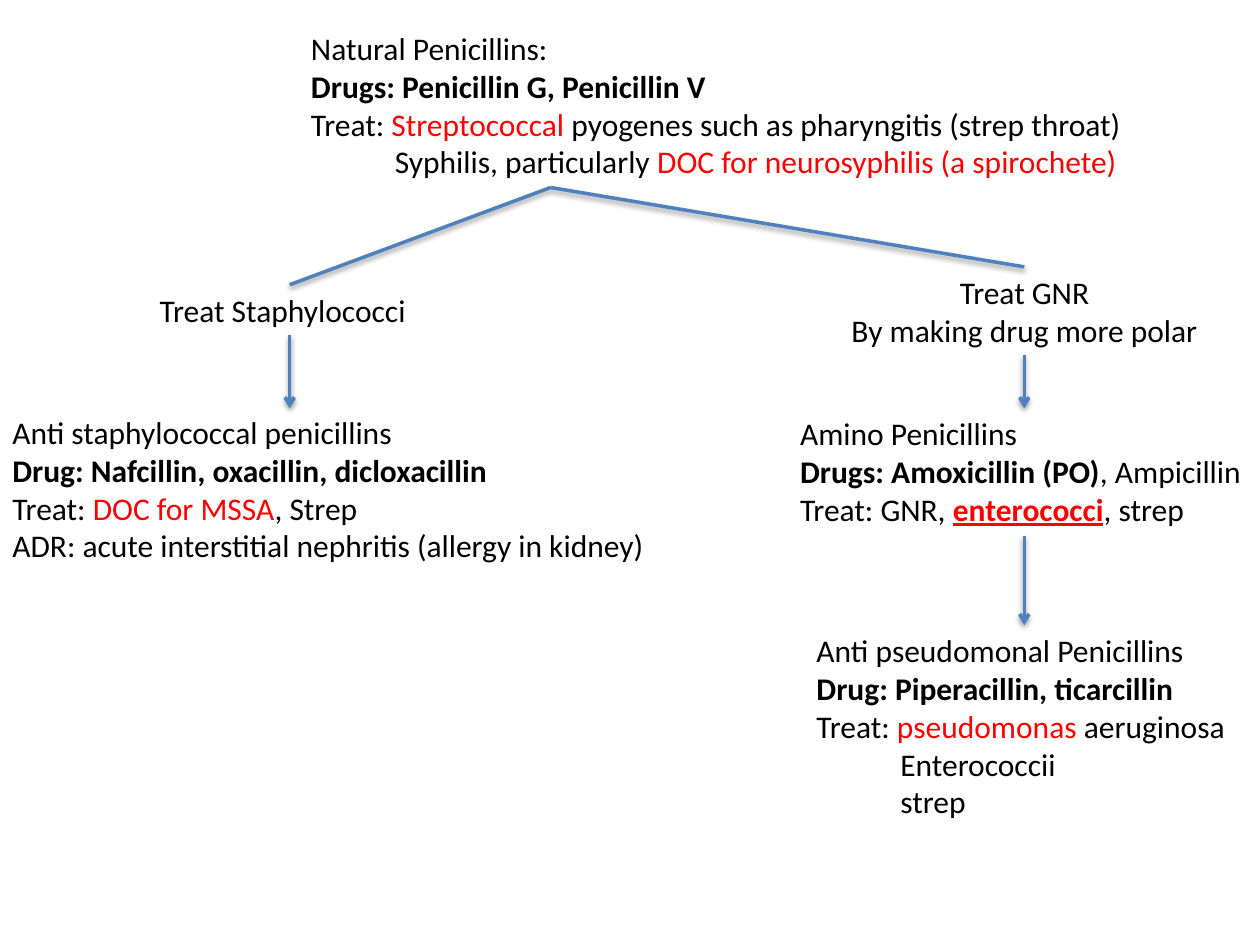
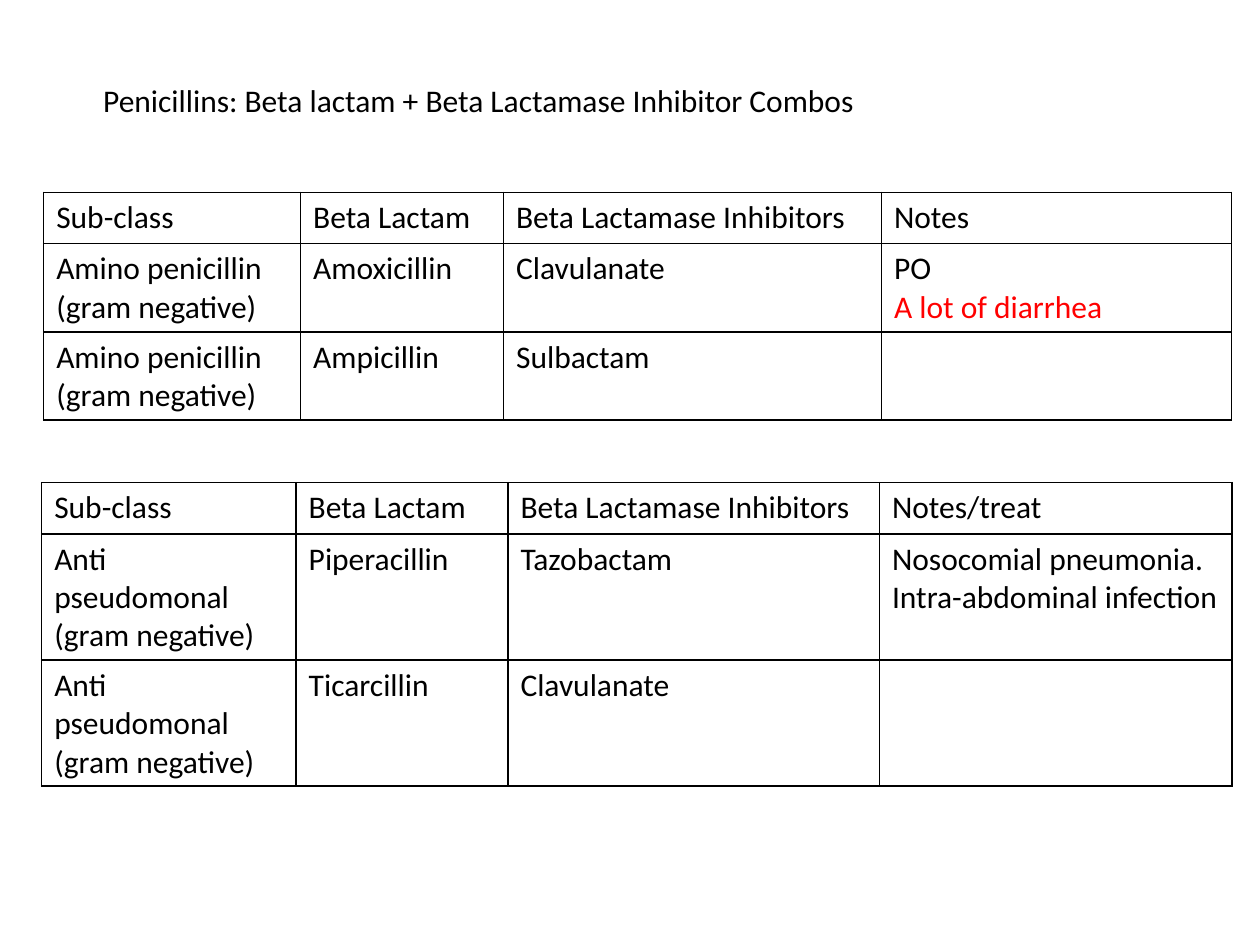
from lxml.etree import SubElement as Sub
from pptx import Presentation as Deck
from pptx.dml.color import RGBColor as Rgb
from pptx.enum.shapes import MSO_CONNECTOR as Link
from pptx.enum.text import MSO_AUTO_SIZE as Fit, PP_ALIGN as Align
from pptx.oxml.ns import qn
from pptx.util import Cm, Pt

HUES = {"ink": "000000", "red": "FF0000", "blue": "4F81BD"}
RED = {"hue": "red"}
BOLD = {"bold": True}
KEY = {"hue": "red", "bold": True, "under": True}


def write(para, text, hue="ink", bold=False, under=False, size=18):
    run = para.add_run()
    run.text = text
    font = run.font
    font.name, font.size = "Calibri", Pt(size)
    font.bold, font.underline = bold, under
    font.color.rgb = Rgb.from_string(HUES[hue])


def fill(frame, lines, align=Align.LEFT, tabbed=()):
    for i, line in enumerate(lines):
        para = frame.paragraphs[0] if i == 0 else frame.add_paragraph()
        para.alignment = align
        if i in tabbed:
            para._p.get_or_add_pPr().set("marL", str(Cm(1.69)))
        for part in [line] if isinstance(line, str) else line:
            text, style = (part, {}) if isinstance(part, str) else part
            write(para, text, **style)


class Page:
    def __init__(self, deck):
        self.deck = deck
        self.slide = None

    def new(self):
        self.slide = self.deck.slides.add_slide(self.deck.slide_layouts[6])

    def note(self, box, *lines, **style):
        shape = self.slide.shapes.add_textbox(*map(Cm, box))
        frame = shape.text_frame
        frame.word_wrap = False
        frame.auto_size = Fit.SHAPE_TO_FIT_TEXT
        fill(frame, lines, **style)

    def link(self, start, end, arrow=False):
        line = self.slide.shapes.add_connector(
            Link.STRAIGHT, *map(Cm, start + end))
        line.line.color.rgb = Rgb.from_string(HUES["blue"])
        line.line.width = Pt(2)
        props = line._element.spPr
        if arrow:
            Sub(props.find(qn("a:ln")), qn("a:tailEnd"), type="arrow")
        shade = Sub(Sub(props, qn("a:effectLst")), qn("a:outerShdw"),
                    blurRad=str(Pt(3.1)), dist=str(Pt(1.6)),
                    dir="5400000", rotWithShape="0")
        tint = Sub(shade, qn("a:srgbClr"), val=HUES["ink"])
        Sub(tint, qn("a:alpha"), val="38000")

    def edge(self, cell):
        props = cell._tc.get_or_add_tcPr()
        for side in "LRTB":
            line = Sub(props, qn(f"a:ln{side}"), w=str(Pt(1)))
            Sub(Sub(line, qn("a:solidFill")), qn("a:srgbClr"),
                val=HUES["ink"])
        cell.fill.background()

    def grid(self, left, top, cols, highs, rows):
        table = self.slide.shapes.add_table(
            len(rows), len(cols), Cm(left), Cm(top),
            Cm(sum(cols)), Cm(sum(highs))).table
        table.first_row = table.horz_banding = False
        for col, wide in zip(table.columns, cols):
            col.width = Cm(wide)
        for row, high, cells in zip(table.rows, highs, rows):
            row.height = Cm(high)
            for cell, lines in zip(row.cells, cells):
                fill(cell.text_frame, lines)
                self.edge(cell)


def tree(page):
    page.new()
    page.note((6.02, 0.46, 17.12, 3.33),
              "Natural Penicillins:",
              [("Drugs: Penicillin G, Penicillin V", BOLD)],
              ["Treat: ", ("Streptococcal", RED),
               " pyogenes such as pharyngitis (strep throat)"],
              ["Syphilis, particularly ",
               ("DOC for neurosyphilis (a spirochete)", RED)],
              tabbed=(3,))
    page.note((0, 8.2, 13.41, 3.33),
              "Anti staphylococcal penicillins",
              [("Drug: Nafcillin, oxacillin, dicloxacillin", BOLD)],
              ["Treat: ", ("DOC for MSSA", RED), ", Strep"],
              "ADR: acute interstitial nephritis (allergy in kidney)")
    page.note((15.88, 8.23, 9.5, 2.57),
              "Amino Penicillins",
              [("Drugs: Amoxicillin (PO)", BOLD), ", Ampicillin"],
              ["Treat: GNR, ", ("enterococci", KEY), ", strep"])
    page.note((16.21, 12.6, 8.89, 4.11),
              "Anti pseudomonal Penicillins",
              [("Drug: Piperacillin, ticarcillin", BOLD)],
              ["Treat: ", ("pseudomonas", RED), " aeruginosa"],
              "Enterococcii", "strep", tabbed=(3, 4))
    page.note((2.97, 5.74, 5.72, 1.02), "Treat Staphylococci")
    page.note((16.87, 5.38, 7.57, 1.8),
              "Treat GNR", "By making drug more polar",
              align=Align.CENTER)

    root, staph, gram = (11.1, 3.78), 5.84, 20.65
    page.link(root, (staph, 5.74))
    page.link(root, (gram, 5.38))
    for x, top, end in ((staph, 6.76, 8.23), (gram, 7.16, 8.23),
                        (gram, 10.8, 12.6)):
        page.link((x, top), (x, end), arrow=True)


def combos(page):
    page.new()
    page.note((1.83, 1.5, 15.72, 1.02),
              "Penicillins: Beta lactam + Beta Lactamase Inhibitor Combos")
    head = [["Sub-class"], ["Beta Lactam"], ["Beta Lactamase Inhibitors"]]
    amino = ["Amino penicillin", "(gram negative)"]
    pseudo = ["Anti pseudomonal", "(gram negative)"]
    page.grid(0.88, 3.88, (5.18, 4.09, 7.62, 7.06), (1.03, 1.78, 1.78), [
        head + [["Notes"]],
        [amino, ["Amoxicillin"], ["Clavulanate"],
         ["PO", [("A lot of diarrhea", RED)]]],
        [amino, ["Ampicillin"], ["Sulbactam"], []]])
    page.grid(0.84, 9.73, (5.13, 4.27, 7.49, 7.11), (1.03, 2.54, 2.54), [
        head + [["Notes/treat"]],
        [pseudo, ["Piperacillin"], ["Tazobactam"],
         ["Nosocomial pneumonia.", "Intra-abdominal infection"]],
        [pseudo, ["Ticarcillin"], ["Clavulanate"], []]])


def main():
    deck = Deck()
    deck.slide_width, deck.slide_height = Cm(25.4), Cm(19.05)
    page = Page(deck)
    tree(page)
    combos(page)
    deck.save("out.pptx")


if __name__ == "__main__":
    main()
